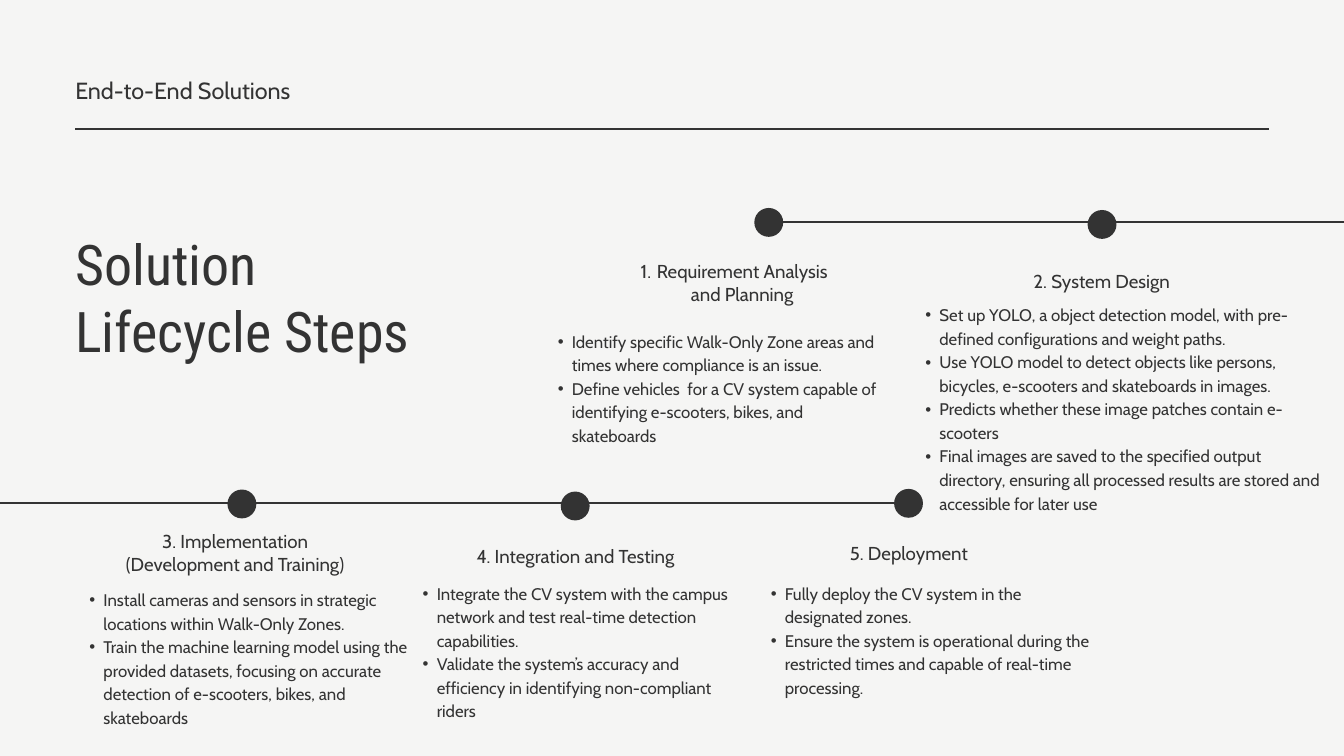
from dataclasses import dataclass

import pptx
import pptx.dml.color
import pptx.enum.shapes
import pptx.enum.text
import pptx.oxml.ns
import pptx.presentation
import pptx.util
from lxml import etree
from pptx.util import Inches

INK = "333333"
PAPER = "F5F5F4"
BODY = "Cabin"
DOT = 0.43
GAP = 4.96  # between neighbouring dots on a row
TOP = 11.44  # first dot of the upper row
LOW = 3.6  # first dot of the lower row


@dataclass
class Box:
    left: float
    top: float
    width: float
    height: float


@dataclass
class Style:
    size: float
    lead: float
    font: str = BODY
    center: bool = False
    indent: float = 0
    bullet: str = ""
    number: bool = False


@dataclass
class Step:
    title: str
    head: Box
    body: Box
    items: list[str]
    dot: tuple[float, float]
    number: bool = False


HEAD = Style(20, 24, center=True)
COUNT = Style(20, 24, center=True, indent=0.24, number=True)
LIST = Style(18, 25.2, indent=0.21, bullet="•")

STEPS = [
    Step("Requirement Analysis and Planning",
         Box(9.07, 3.87, 3.47, 0.69), Box(8.09, 4.88, 5.08, 2.05),
         ["Identify specific Walk-Only Zone areas and times where compliance is an issue.",
          "Define vehicles  for a CV system capable of identifying e-scooters, bikes, "
          "and skateboards"],
         (TOP, 3.31), number=True),
    Step("2. System Design",
         Box(14.66, 4.01, 3.47, 0.35), Box(13.56, 4.49, 6.1, 3.43),
         ["Set up YOLO, a object detection model, with pre-defined configurations "
          "and weight paths.",
          "Use YOLO model to detect objects like persons, bicycles, e-scooters and "
          "skateboards in images.",
          "Predicts whether these image patches contain e-scooters",
          "Final images are saved to the specified output directory, ensuring all "
          "processed results are stored and accessible for later use"],
         (TOP + GAP, 3.34)),
    Step("3. Implementation (Development and Training)",
         Box(1.66, 7.89, 3.68, 0.69), Box(1.12, 8.73, 4.96, 2.74),
         ["Install cameras and sensors in strategic locations within Walk-Only Zones.",
          "Train the machine learning model using the provided datasets, focusing on "
          "accurate detection of e-scooters, bikes, and skateboards"],
         (LOW, 7.5)),
    Step("4. Integration and Testing",
         Box(6.83, 8.11, 3.47, 0.35), Box(6.08, 8.63, 4.96, 2.4),
         ["Integrate the CV system with the campus network and test real-time "
          "detection capabilities.",
          "Validate the system’s accuracy and efficiency in identifying "
          "non-compliant riders"],
         (LOW + GAP, 7.53)),
    Step("5. Deployment",
         Box(11.79, 8.06, 3.47, 0.35), Box(11.26, 8.63, 4.96, 2.05),
         ["Fully deploy the CV system in the designated zones.",
          "Ensure the system is operational during the restricted times and capable "
          "of real-time processing."],
         (LOW + 2 * GAP, 7.49)),
]


def paint(color, code: str) -> None:
    color.rgb = pptx.dml.color.RGBColor.from_string(code)


def mark(para, style: Style) -> None:
    """Give a paragraph its hanging indent and its bullet or number."""
    para.level = 1
    props = para._p.get_or_add_pPr()
    props.set("marL", str(Inches(2 * style.indent)))
    props.set("indent", str(-Inches(style.indent)))
    qn = pptx.oxml.ns.qn
    if style.number:
        etree.SubElement(props, qn("a:buAutoNum"), type="arabicPeriod")
    else:
        etree.SubElement(props, qn("a:buFont"), typeface="Arial")
        etree.SubElement(props, qn("a:buChar"), char=style.bullet)


def write(slide, box: Box, lines: list[str], style: Style) -> None:
    shape = slide.shapes.add_textbox(Inches(box.left), Inches(box.top),
                                     Inches(box.width), Inches(box.height))
    frame = shape.text_frame
    frame.margin_left = frame.margin_right = 0
    frame.margin_top = frame.margin_bottom = 0
    frame.word_wrap = True
    frame.auto_size = pptx.enum.text.MSO_AUTO_SIZE.SHAPE_TO_FIT_TEXT
    for i, line in enumerate(lines):
        para = frame.add_paragraph() if i else frame.paragraphs[0]
        para.text = line
        para.line_spacing = pptx.util.Pt(style.lead)
        if style.center:
            para.alignment = pptx.enum.text.PP_ALIGN.CENTER
        if style.indent:
            mark(para, style)
        para.font.name = style.font
        para.font.size = pptx.util.Pt(style.size)
        paint(para.font.color, INK)


def rule(slide, start: float, end: float, y: float) -> None:
    """Draw a level line."""
    line = slide.shapes.add_connector(pptx.enum.shapes.MSO_CONNECTOR.STRAIGHT,
                                      Inches(start), Inches(y), Inches(end), Inches(y))
    line.line.width = pptx.util.Pt(2.25)
    paint(line.line.color, INK)
    etree.SubElement(line._element.spPr, pptx.oxml.ns.qn("a:effectLst"))


def spot(slide, x: float, y: float) -> None:
    """Draw a dot centred on a point."""
    dot = slide.shapes.add_shape(pptx.enum.shapes.MSO_SHAPE.OVAL,
                                 Inches(x - DOT / 2), Inches(y - DOT / 2),
                                 Inches(DOT), Inches(DOT))
    dot.shadow.inherit = False
    dot.fill.solid()
    paint(dot.fill.fore_color, INK)
    dot.line.fill.background()


def main() -> None:
    deck = pptx.Presentation()
    deck.slide_width, deck.slide_height = Inches(20), Inches(11.25)
    slide = deck.slides.add_slide(deck.slide_layouts[6])
    slide.background.fill.solid()
    paint(slide.background.fill.fore_color, PAPER)

    write(slide, Box(1.12, 1.06, 5.51, 0.47), ["End-to-End Solutions"], Style(25, 35))
    write(slide, Box(1.12, 3.41, 5.82, 2), ["Solution Lifecycle Steps"],
          Style(60, 72, "Roboto Condensed"))
    rule(slide, 1.12, 18.88, 1.92)
    rule(slide, TOP, 20, 3.31)
    rule(slide, 0, LOW + 2 * GAP, 7.49)
    for step in STEPS:
        write(slide, step.body, step.items, LIST)
        write(slide, step.head, [step.title], COUNT if step.number else HEAD)
        spot(slide, *step.dot)
    deck.save("out.pptx")


if __name__ == "__main__":
    main()
